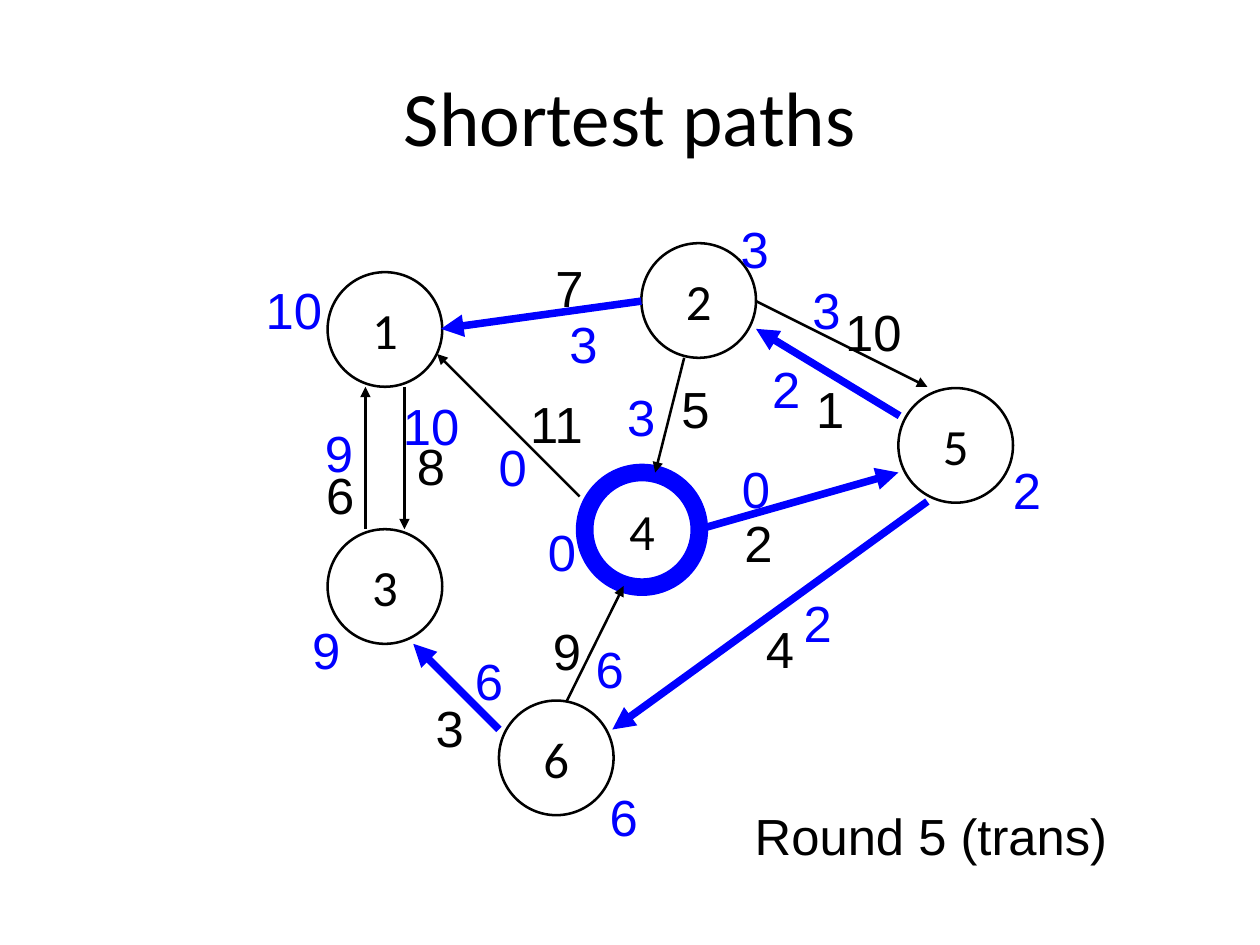
from dataclasses import dataclass
from typing import NamedTuple

from lxml.etree import SubElement
from pptx import Presentation
from pptx.dml.color import RGBColor
from pptx.enum.shapes import MSO_CONNECTOR as Connector, MSO_SHAPE as Shape
from pptx.enum.text import MSO_ANCHOR as Anchor, PP_ALIGN as Align
from pptx.oxml.ns import qn
from pptx.util import Inches, Pt


@dataclass(frozen=True)
class Theme:
    ink: RGBColor = RGBColor(0, 0, 0)
    accent: RGBColor = RGBColor(0, 0, 255)
    heading_font: str = "Calibri"
    label_font: str = "Arial"
    title_size: float = 44
    body_size: float = 29
    thin: float = 1.45
    thick: float = 4.31
    source_ring: float = 10.09


class Point(NamedTuple):
    x: float
    y: float


class Node(NamedTuple):
    name: str
    at: Point
    distance: str
    distance_at: Point
    is_source: bool = False


class Edge(NamedTuple):
    start: Point
    end: Point
    cost: str
    cost_at: Point
    message: str
    message_at: Point
    on_tree: bool = False


THEME = Theme()
NODE_SIZE = 0.91
LABEL_HEIGHT = 0.61
LABEL_WIDTHS = {1: 0.43, 2: 0.67}

NODES = [
    Node("1", Point(2.6, 2.16), "10", Point(2.01, 2.16)),
    Node("2", Point(5.09, 1.93), "3", Point(5.78, 1.68)),
    Node("3", Point(2.6, 4.2), "9", Point(2.38, 4.86)),
    Node("4", Point(4.64, 3.75), "0", Point(4.25, 4.08), is_source=True),
    Node("5", Point(7.13, 3.08), "2", Point(7.94, 3.59)),
    Node("6", Point(3.96, 5.56), "6", Point(4.74, 6.19)),
]

EDGES = [
    Edge(Point(5.55, 4.2), Point(7.13, 3.75), "2", Point(5.81, 4.01), "0", Point(5.79, 3.58), True),
    Edge(Point(5.09, 2.39), Point(3.5, 2.61), "7", Point(4.31, 1.99), "3", Point(4.42, 2.43), True),
    Edge(Point(7.14, 3.3), Point(6, 2.61), "1", Point(6.38, 2.95), "2", Point(6.03, 2.79), True),
    Edge(Point(7.36, 3.98), Point(4.86, 5.79), "4", Point(5.98, 4.85), "2", Point(6.28, 4.65), True),
    Edge(Point(3.96, 5.79), Point(3.28, 5.11), "3", Point(3.36, 5.48), "6", Point(3.67, 5.11), True),
    Edge(Point(6, 2.39), Point(7.36, 3.07), "10", Point(6.61, 2.34), "3", Point(6.35, 2.16)),
    Edge(Point(2.9, 4.2), Point(2.9, 3.07), "6", Point(2.49, 3.63), "9", Point(2.48, 3.3)),
    Edge(Point(3.21, 3.07), Point(3.21, 4.2), "8", Point(3.21, 3.4), "10", Point(3.1, 3.08)),
    Edge(Point(4.6, 3.94), Point(3.47, 2.81), "11", Point(4.11, 3.07), "0", Point(3.86, 3.41)),
    Edge(Point(5.43, 2.84), Point(5.2, 3.75), "5", Point(5.31, 2.95), "3", Point(4.88, 3.01)),
    Edge(Point(4.5, 5.56), Point(4.95, 4.65), "9", Point(4.29, 4.87), "6", Point(4.63, 5.01)),
]


def write_text(shape, text: str, *, font=THEME.label_font, size=THEME.body_size,
               color=THEME.ink, align=Align.LEFT, anchor=Anchor.TOP,
               wrap=False, margins=(0.1, 0.05)) -> None:
    frame = shape.text_frame
    frame.word_wrap = wrap
    frame.vertical_anchor = anchor
    frame.margin_left = frame.margin_right = Inches(margins[0])
    frame.margin_top = frame.margin_bottom = Inches(margins[1])
    paragraph = frame.paragraphs[0]
    paragraph.alignment = align
    run = paragraph.add_run()
    run.text = text
    run.font.name = font
    run.font.size = Pt(size)
    run.font.color.rgb = color


def add_text(slide, text: str, at: Point, width: float, height: float, **style) -> None:
    box = slide.shapes.add_textbox(Inches(at.x), Inches(at.y), Inches(width), Inches(height))
    write_text(box, text, **style)


def add_label(slide, text: str, at: Point, color: RGBColor) -> None:
    add_text(slide, text, at, LABEL_WIDTHS[len(text)], LABEL_HEIGHT, color=color)


def draw_node(slide, node: Node) -> None:
    circle = slide.shapes.add_shape(Shape.OVAL, Inches(node.at.x), Inches(node.at.y),
                                    Inches(NODE_SIZE), Inches(NODE_SIZE))
    circle.shadow.inherit = False
    circle.fill.background()
    circle.line.color.rgb = THEME.accent if node.is_source else THEME.ink
    circle.line.width = Pt(THEME.source_ring if node.is_source else THEME.thin)
    write_text(circle, node.name, font=THEME.heading_font,
               align=Align.CENTER, anchor=Anchor.MIDDLE)


def draw_edge(slide, edge: Edge) -> None:
    arrow = slide.shapes.add_connector(Connector.STRAIGHT,
                                       Inches(edge.start.x), Inches(edge.start.y),
                                       Inches(edge.end.x), Inches(edge.end.y))
    arrow.line.color.rgb = THEME.accent if edge.on_tree else THEME.ink
    arrow.line.width = Pt(THEME.thick if edge.on_tree else THEME.thin)
    SubElement(arrow.line._get_or_add_ln(), qn("a:tailEnd"), type="triangle")
    SubElement(arrow._element.spPr, qn("a:effectLst"))


def main() -> None:
    presentation = Presentation()
    presentation.slide_width = Inches(10)
    presentation.slide_height = Inches(7.5)
    slide = presentation.slides.add_slide(presentation.slide_layouts[6])

    add_text(slide, "Shortest paths", Point(0.5, 0.34), 9, 1.16,
             font=THEME.heading_font, size=THEME.title_size, align=Align.CENTER,
             anchor=Anchor.MIDDLE, wrap=True, margins=(0, 0))
    for node in NODES:
        draw_node(slide, node)
    for edge in EDGES:
        draw_edge(slide, edge)
    for node in NODES:
        add_label(slide, node.distance, node.distance_at, THEME.accent)
    for edge in EDGES:
        add_label(slide, edge.cost, edge.cost_at, THEME.ink)
        add_label(slide, edge.message, edge.message_at, THEME.accent)
    add_text(slide, "Round 5 (trans)", Point(5.9, 6.35), 3.1, 0.59, margins=(0.09, 0.04))

    presentation.save("out.pptx")


if __name__ == "__main__":
    main()
